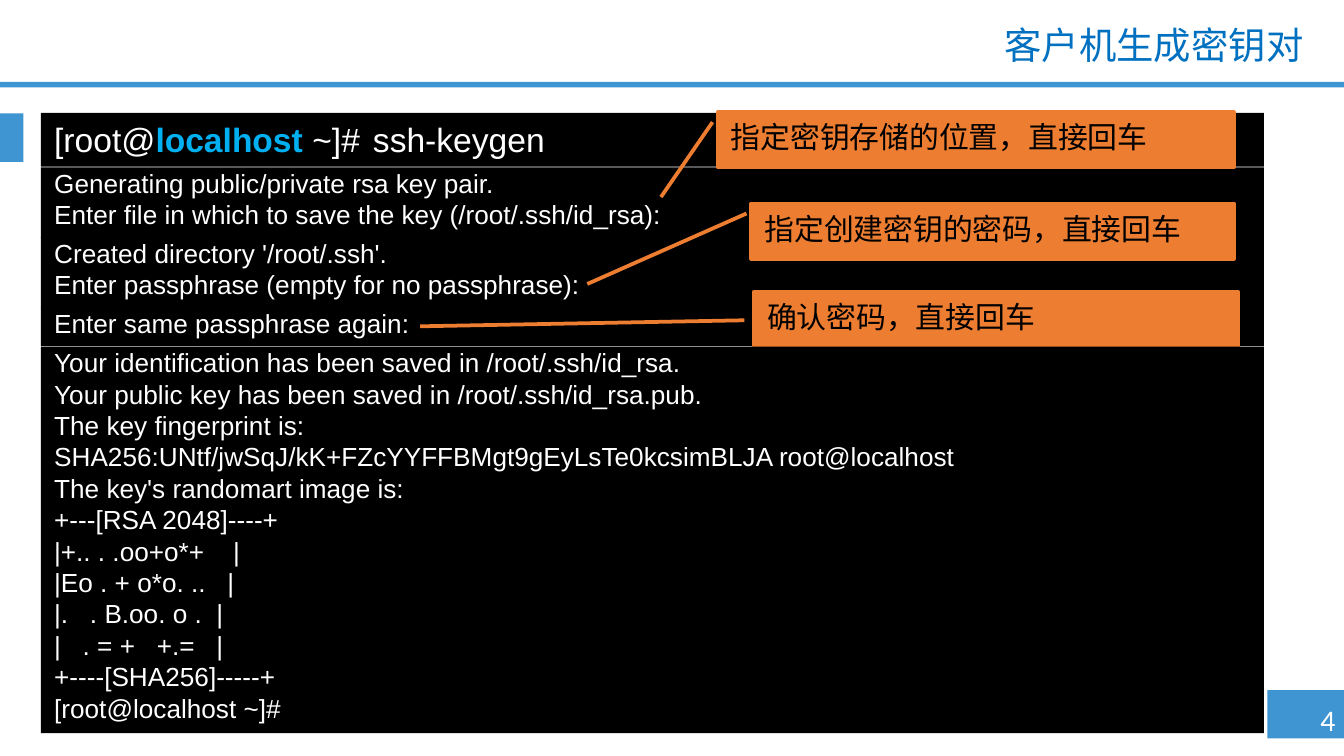
from lxml import etree
from pptx import Presentation
from pptx.dml.color import RGBColor
from pptx.enum.shapes import MSO_SHAPE
from pptx.enum.text import MSO_ANCHOR, PP_ALIGN
from pptx.oxml.ns import qn
from pptx.util import Pt

PX = 4572  # 200 px to the inch
RECT = MSO_SHAPE.RECTANGLE
CALLOUT = MSO_SHAPE.LINE_CALLOUT_1
TOP, MIDDLE = MSO_ANCHOR.TOP, MSO_ANCHOR.MIDDLE
LEFT, CENTER, RIGHT = PP_ALIGN.LEFT, PP_ALIGN.CENTER, PP_ALIGN.RIGHT

WHITE = RGBColor(0xFF, 0xFF, 0xFF)
BLACK = RGBColor(0x00, 0x00, 0x00)
BLUE = RGBColor(0x3F, 0x95, 0xD2)
INK = RGBColor(0x00, 0x70, 0xC0)
CYAN = RGBColor(0x00, 0xB0, 0xF0)
ORANGE = RGBColor(0xED, 0x7D, 0x31)
SANS, HAN = "Arial", "Noto Sans CJK SC"

# Offset from the console's top, height, lines
STEPS = [
    (81, 105, ["Generating public/private rsa key pair.",
               "Enter file in which to save the key (/root/.ssh/id_rsa):"]),
    (185, 105, ["Created directory '/root/.ssh'.",
                "Enter passphrase (empty for no passphrase):"]),
    (289, 58, ["Enter same passphrase again:"]),
]
RESULT = [
    "Your identification has been saved in /root/.ssh/id_rsa.",
    "Your public key has been saved in /root/.ssh/id_rsa.pub.",
    "The key fingerprint is:",
    "SHA256:UNtf/jwSqJ/kK+FZcYYFFBMgt9gEyLsTe0kcsimBLJA root@localhost",
    "The key's randomart image is:",
    "+---[RSA 2048]----+",
    "|+.. . .oo+o*+    |",
    "|Eo . + o*o. ..   |",
    "|.   . B.oo. o .  |",
    "|   . = +   +.=   |",
    "+----[SHA256]-----+",
    "[root@localhost ~]#",
]
# Box within the console, leader ends (y, x, y, x as shares of the box), wording
NOTES = [
    ((1007, -1, 768, 82), (0.18, -0.01, 1.54, -0.11),
     "指定密钥存储的位置，直接回车"),
    ((1057, 135, 718, 82), (0.18, -0.01, 1.46, -0.34),
     "指定创建密钥的密码，直接回车"),
    ((1061, 266, 720, 82), (0.52, -0.02, 0.63, -0.69),
     "确认密码，直接回车"),
]


def scale(box):
    return [n * PX for n in box]


def add_run(para, text, size, color, face=SANS, bold=False):
    run = para.add_run()
    run.text = text
    font = run.font
    font.size, font.name, font.bold = Pt(size), face, bold
    font.color.rgb = color
    if face == HAN:
        etree.SubElement(run._r.get_or_add_rPr(), qn("a:ea"), typeface=face)


def set_frame(shape, pads=(20, 10, 20, 10), anchor=TOP, wrap=True):
    frame = shape.text_frame
    frame.word_wrap = wrap
    frame.vertical_anchor = anchor
    (frame.margin_left, frame.margin_top,
     frame.margin_right, frame.margin_bottom) = scale(pads)
    return frame


def add_block(slide, box, fill, kind=RECT):
    shape = slide.shapes.add_shape(kind, *scale(box))
    shape.shadow.inherit = False
    shape.fill.solid()
    shape.fill.fore_color.rgb = fill
    shape.line.fill.background()
    return shape


def add_lines(slide, box, lines):
    """Black block of console output, one paragraph a line."""
    frame = set_frame(add_block(slide, box, BLACK), (20, 0, 20, 10))
    for i, line in enumerate(lines):
        para = frame.add_paragraph() if i else frame.paragraphs[0]
        para.alignment = LEFT
        add_run(para, line, 14, WHITE)


def add_frame(slide, wide, high):
    """Blue bar, side tab and page number around the content."""
    add_block(slide, (wide - 114, high - 98, 114, 72), BLUE)
    add_block(slide, (0, 122, wide, 8), BLUE)
    page = slide.shapes.add_textbox(*scale((wide - 76, high - 90, 104, 74)))
    para = set_frame(page, wrap=False).paragraphs[0]
    para.alignment = CENTER
    add_run(para, "4", 16, WHITE, "Calibri")
    add_block(slide, (0, 169, 35, 72), BLUE)


def set_title(slide, box, text):
    title = slide.shapes.title
    title.left, title.top, title.width, title.height = scale(box)
    para = set_frame(title, anchor=MIDDLE).paragraphs[0]
    para.alignment = RIGHT
    para.line_spacing = 0.9
    add_run(para, text, 20, INK, HAN)


def add_prompt(slide, box):
    left, top, _, high = box
    shape = add_block(slide, box, BLACK)
    para = set_frame(shape, (20, 10, 20, 13), MIDDLE).paragraphs[0]
    para.alignment = LEFT
    for text, color, bold in (("[root@", WHITE, False),
                              ("localhost ", CYAN, True),
                              ("~]#", WHITE, False)):
        add_run(para, text, 18, color, bold=bold)
    typed = slide.shapes.add_textbox(*scale((left + 447, top, 562, high)))
    para = set_frame(typed, (47, 10, 20, 13), MIDDLE).paragraphs[0]
    add_run(para, "ssh-keygen", 18, WHITE)


def add_note(slide, box, ends, text):
    note = add_block(slide, box, ORANGE, CALLOUT)
    note.line.color.rgb = ORANGE
    note.line.width = Pt(2)
    for i, end in enumerate(ends):
        note.adjustments[i] = end
    para = set_frame(note, (20, 10, 20, 19), MIDDLE).paragraphs[0]
    para.alignment = LEFT
    add_run(para, text, 16, BLACK, HAN)


def add_console(slide, box):
    left, top, wide, high = box
    add_prompt(slide, (left, top, wide, 80))
    for y, tall, lines in STEPS:
        add_lines(slide, (left, top + y, wide, tall), lines)
    for (x, y, w, h), ends, text in NOTES:
        add_note(slide, (left + x, top + y, w, h), ends, text)
    add_lines(slide, (left, top + 348, wide, high - 348), RESULT)


def main():
    deck = Presentation()
    wide, high = 2000, 1125
    deck.slide_width, deck.slide_height = scale((wide, high))
    slide = deck.slides.add_slide(deck.slide_layouts[5])
    add_frame(slide, wide, high)
    set_title(slide, (480, 30, 1480, 82), "客户机生成密钥对")
    add_console(slide, (61, 168, 1820, 923))
    deck.save("out.pptx")


if __name__ == "__main__":
    main()
